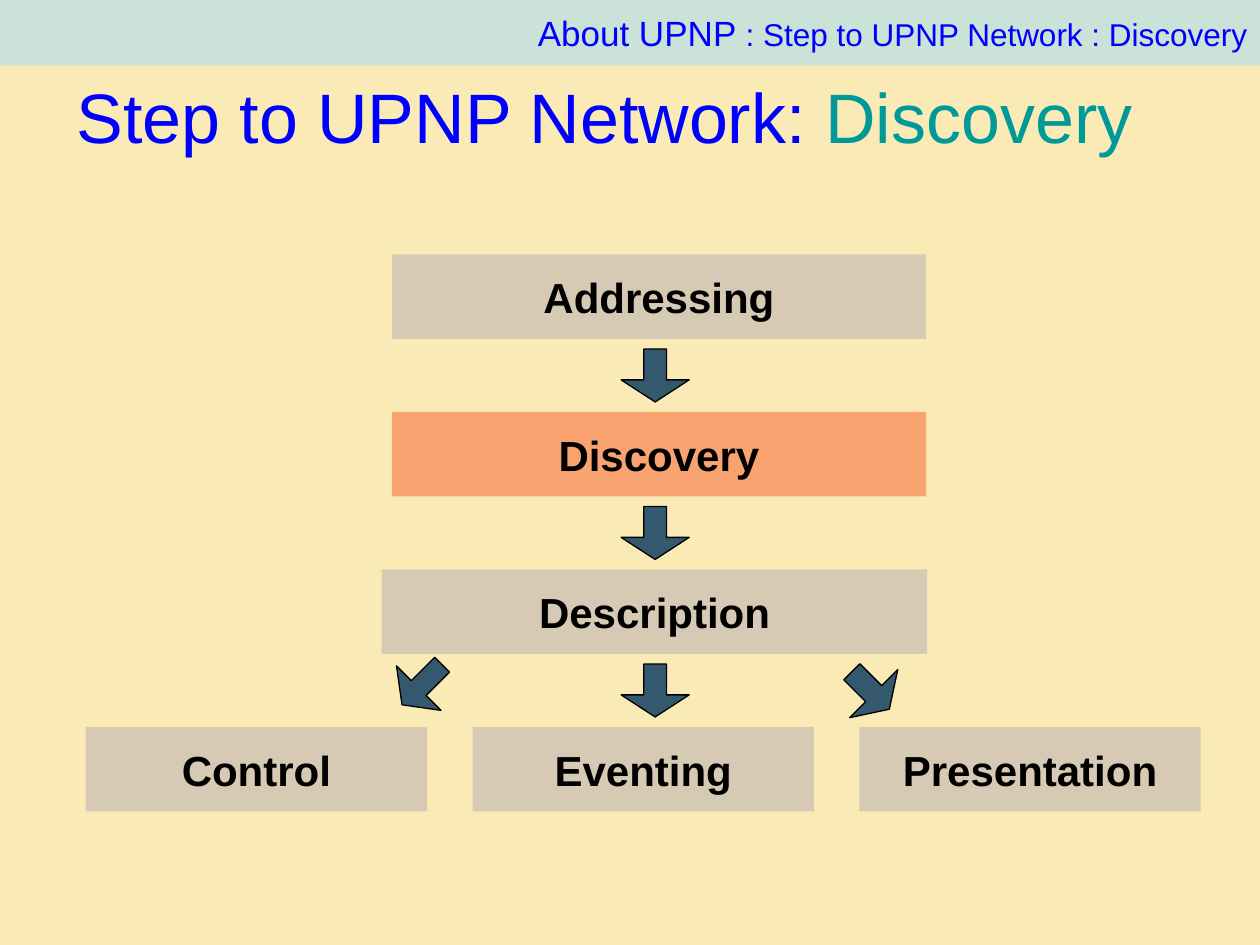
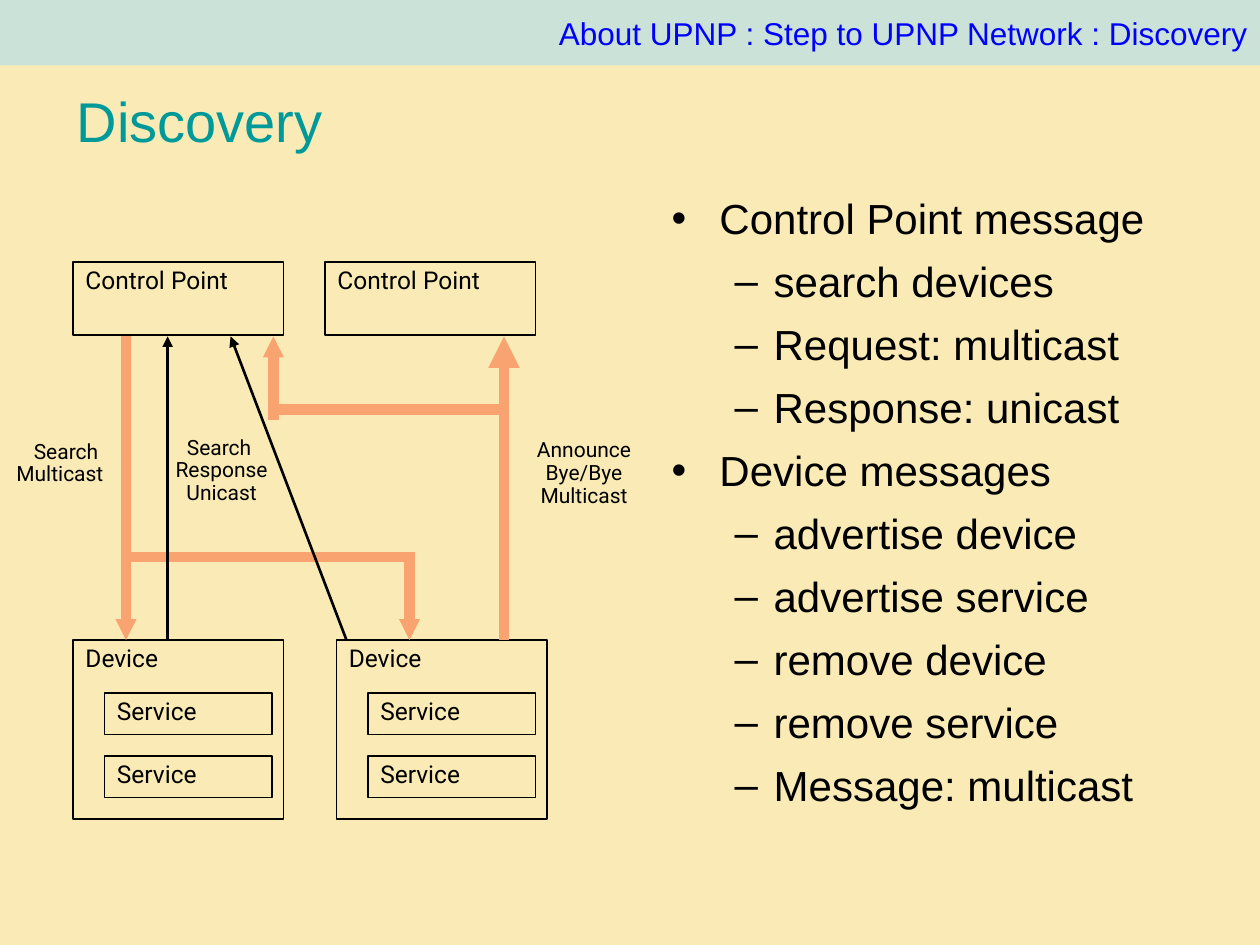
from lxml import etree
from pptx import Presentation
from pptx.dml.color import RGBColor
from pptx.enum import shapes as sh, text as tx
from pptx.oxml.ns import qn
from pptx.util import Inches, Pt

# Content
COLORS = {
    "page": "FAEBB6", "band": "BBE0E3", "blue": "0000FF", "teal": "009999",
    "tan": "D6CAB4", "coral": "F9A470", "slate": "34586D", "black": "000000",
}
CRUMB = ": Step to UPNP Network : Discovery"

STEPS = [("Addressing", "tan", 3.11, 4.24), ("Discovery", "coral", 3.11, 4.24),
         ("Description", "tan", 3.03, 4.33)]
LAST = ["Control", "Eventing", "Presentation"]
TURNED = [(3.1, 5.21, 0.5, 0.45, 45), (6.64, 5.27, 0.54, 0.42, 315)]

POINTS = [
    ("Control Point message",
     ["search devices", "Request: multicast", "Response: unicast"]),
    ("Device messages",
     ["advertise device", "advertise service", "remove device",
      "remove service", "Message: multicast"]),
]
# Bullet sign, left margin, first line indent
LEVELS = [("•", 0.38, -0.38), ("–", 0.81, -0.31)]

CONTROLS = [0.58, 2.58]
DEVICES = [0.58, 2.67]
SERVICES = [5.5, 6]
TOP, LOW = 2.67, 5.08  # foot of the control points, head of the devices
# From, to, colour, width, arrowhead size
FLOWS = [
    ((1, TOP), (1, LOW), "coral", 6, "sm"),
    ((3.25, 4.42), (3.25, LOW), "coral", 6, "sm"),
    ((1, 4.42), (3.29, 4.42), "coral", 6, None),
    ((1.33, LOW), (1.33, TOP), "black", 1.5, "med"),
    ((2.75, LOW), (1.83, TOP), "black", 1.5, "med"),
    ((4, LOW), (4, TOP), "coral", 6, "med"),
    ((2.17, 3.33), (2.17, TOP), "coral", 6, "sm"),
    ((2.17, 3.25), (4, 3.25), "coral", 6, None),
]
LABELS = [
    (["Search ", "Multicast"], (0.01, 3.45, 0.91, 0.46), "RIGHT"),
    (["Search ", "Response", "Unicast"], (1.28, 3.42, 0.96, 0.64), "CENTER"),
    (["Announce", "Bye/Bye", "Multicast"], (4.14, 3.44, 0.99, 0.64), "CENTER"),
]


# Helpers
def rgb(name):
    return RGBColor.from_string(COLORS[name])


def style(item, size, color="black", face="Arial", bold=False):
    font = item.font
    font.name, font.size, font.bold = face, Pt(size), bold
    font.color.rgb = rgb(color)


def add_shape(slide, kind, at, fill=None, line=None, width=1):
    box = slide.shapes.add_shape(kind, *map(Inches, at))
    box.shadow.inherit = False
    if fill:
        box.fill.solid()
        box.fill.fore_color.rgb = rgb(fill)
    else:
        box.fill.background()
    if line:
        box.line.color.rgb = rgb(line)
        box.line.width = Pt(width)
    else:
        box.line.fill.background()
    return box


def add_rect(slide, at, **look):
    return add_shape(slide, sh.MSO_SHAPE.RECTANGLE, at, **look)


def add_text(slide, at, wrap=True):
    frame = slide.shapes.add_textbox(*map(Inches, at)).text_frame
    frame.word_wrap = wrap
    return frame


def add_runs(par, runs):
    for words, size, color in runs:
        run = par.add_run()
        run.text = words
        style(run, size, color)


def add_page(deck, crumb, title, high):
    slide = deck.slides.add_slide(deck.slide_layouts[6])
    slide.background.fill.solid()
    slide.background.fill.fore_color.rgb = rgb("page")
    # Title
    frame = add_text(slide, (0.51, 0.68, 9, high))
    frame.vertical_anchor = tx.MSO_ANCHOR.MIDDLE
    add_runs(frame.paragraphs[0], title)
    # Top band
    band = add_rect(slide, (0, 0, 10, 0.52), fill="band")
    tint = band.fill._xPr.find(".//" + qn("a:srgbClr"))
    etree.SubElement(tint, qn("a:alpha"), val="76000")
    par = band.text_frame.paragraphs[0]
    par.alignment = tx.PP_ALIGN.RIGHT
    add_runs(par, crumb)
    return slide


def add_step(slide, name, at, fill):
    par = add_rect(slide, at, fill=fill).text_frame.paragraphs[0]
    par.text = name
    par.alignment = tx.PP_ALIGN.CENTER
    style(par, 24, bold=True)


def add_arrow(slide, at, turn=0):
    arrow = add_shape(slide, sh.MSO_SHAPE.DOWN_ARROW, at, "slate", "black", 0.75)
    arrow.adjustments[0], arrow.adjustments[1] = 0.333, 0.417
    arrow.rotation = turn


def add_node(slide, name, at):
    frame = add_rect(slide, at, line="black").text_frame
    frame.vertical_anchor = tx.MSO_ANCHOR.TOP
    par = frame.paragraphs[0]
    par.text = name
    par.alignment = tx.PP_ALIGN.LEFT
    par.line_spacing = 0.9
    style(par, 14, face="Roboto")


def add_flow(slide, start, end, color, width, tip):
    flow = slide.shapes.add_connector(
        sh.MSO_CONNECTOR.STRAIGHT, *map(Inches, start + end))
    flow.line.color.rgb = rgb(color)
    flow.line.width = Pt(width)
    if tip:
        etree.SubElement(flow.line._get_or_add_ln(), qn("a:tailEnd"),
                         type="triangle", w=tip, len=tip)
    etree.SubElement(flow._element.spPr, qn("a:effectLst"))


def add_point(frame, words, level, first):
    par = frame.paragraphs[0] if first else frame.add_paragraph()
    par.text = words
    par.level = level
    sign, left, indent = LEVELS[level]
    props = par._p.get_or_add_pPr()
    props.set("marL", str(Inches(left)))
    props.set("indent", str(Inches(indent)))
    if not first:
        par.space_before = Pt(7.2)
    etree.SubElement(props, qn("a:buFont"), typeface="Arial")
    etree.SubElement(props, qn("a:buChar"), char=sign)
    style(par, 24)


# Slides
def build_steps(deck):
    slide = add_page(
        deck, [("About UPNP ", 20, "blue"), (CRUMB, 18, "blue")],
        [("Step to UPNP Network: ", 40, "blue"), ("Discovery", 40, "teal")], 0.47)
    for row, (name, fill, left, wide) in enumerate(STEPS):
        top = 2.02 + 1.25 * row
        add_step(slide, name, (left, top, wide, 0.67), fill)
        add_arrow(slide, (4.93, top + 0.75, 0.54, 0.42))
    for col, name in enumerate(LAST):
        add_step(slide, name, (0.68 + 3.07 * col, 5.77, 2.71, 0.67), "tan")
    for *at, turn in TURNED:
        add_arrow(slide, at, turn)


def build_discovery(deck):
    slide = add_page(deck, [("About UPNP " + CRUMB, 18, "blue")],
                     [("Discovery", 32, "teal")], 0.55)
    # Message list
    frame = add_text(slide, (5.24, 1.49, 4.41, 5.2))
    frame.margin_left = frame.margin_right = Inches(0.09)
    frame.margin_top = frame.margin_bottom = Inches(0.04)
    for num, (head, subs) in enumerate(POINTS):
        add_point(frame, head, 0, num == 0)
        for sub in subs:
            add_point(frame, sub, 1, False)
    # Control points, devices and their services
    for left in CONTROLS:
        add_node(slide, "Control Point", (left, 2.08, 1.67, 0.58))
    for left in DEVICES:
        add_node(slide, "Device", (left, LOW, 1.67, 1.42))
        for top in SERVICES:
            add_node(slide, "Service", (left + 0.25, top, 1.33, 0.33))
    # Message flows and labels
    for flow in FLOWS:
        add_flow(slide, *flow)
    for lines, at, side in LABELS:
        frame = add_text(slide, at, wrap=False)
        frame.text = "\n".join(lines)
        for par in frame.paragraphs:
            par.alignment = tx.PP_ALIGN[side]
            par.line_spacing = 0.9
            style(par, 12, face="Roboto")


def main():
    deck = Presentation()
    deck.slide_width, deck.slide_height = Inches(10), Inches(7.5)
    build_steps(deck)
    build_discovery(deck)
    deck.save("out.pptx")


if __name__ == "__main__":
    main()
